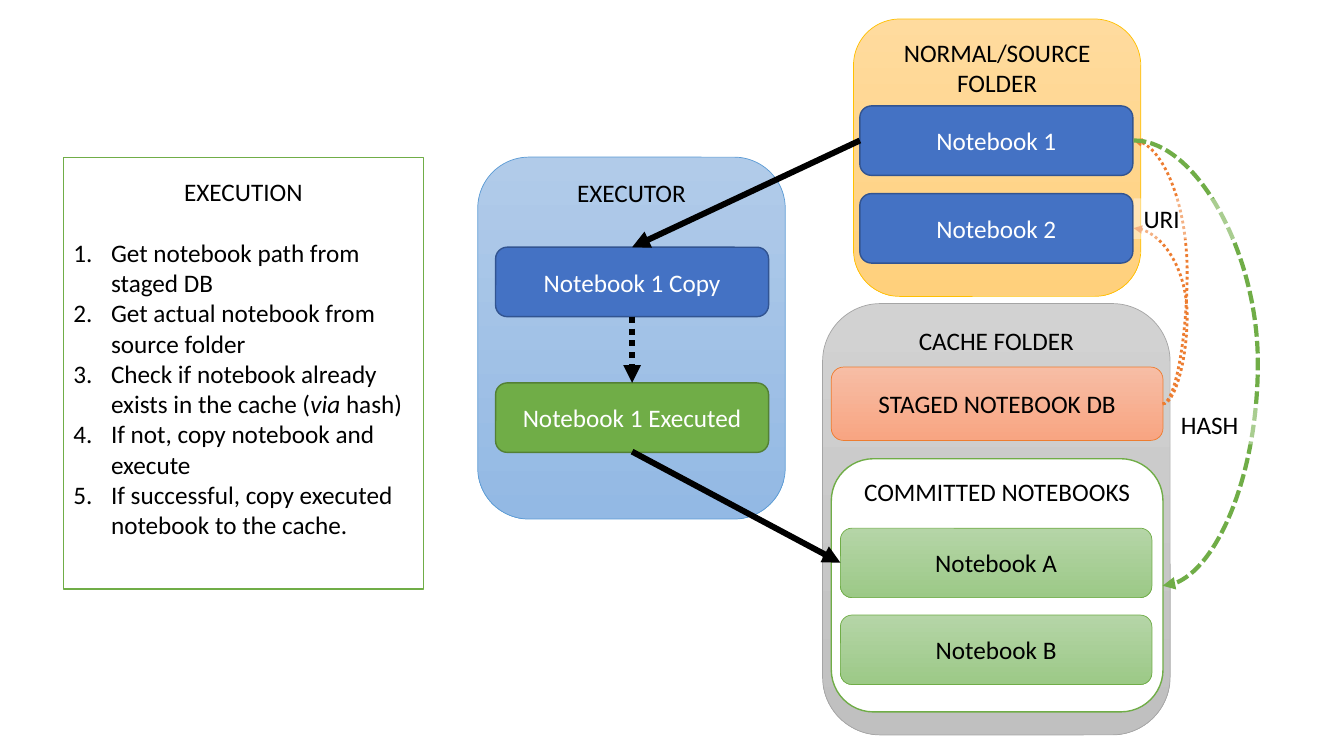
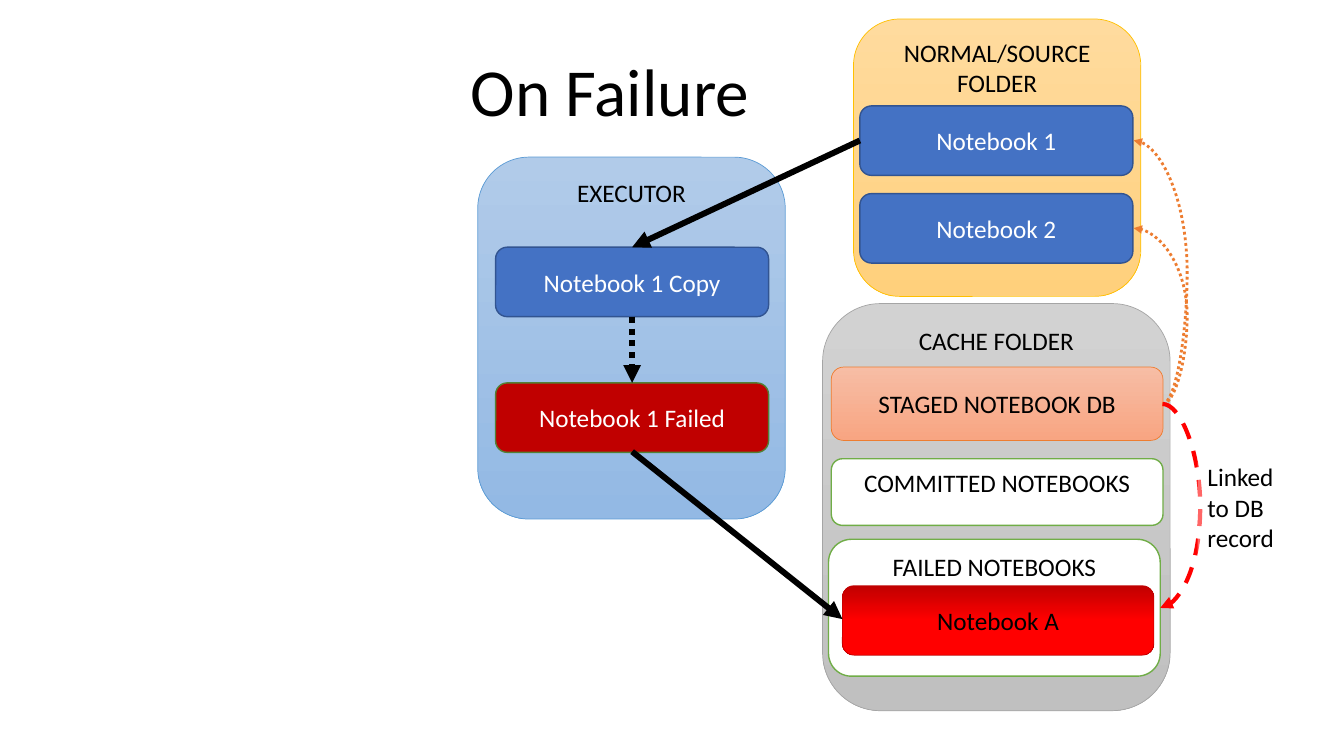
from lxml import etree
from pptx import Presentation, util as u
from pptx.dml.color import RGBColor
from pptx.enum import dml, shapes, text
from pptx.oxml.ns import qn

FONT = "Calibri"
BLACK, WHITE = "000000", "FFFFFF"
BLUE, GREEN, ORANGE, RED = "4472C4", "70AD47", "ED7D31", "FF0000"
TOP, MIDDLE = text.MSO_ANCHOR.TOP, text.MSO_ANCHOR.MIDDLE
LEFT, CENTER = text.PP_ALIGN.LEFT, text.PP_ALIGN.CENTER
DOTS, SHORT_DASHES, DASHES = (
    dml.MSO_LINE.ROUND_DOT, dml.MSO_LINE.SQUARE_DOT, dml.MSO_LINE.DASH)

STYLES = {
    "source": (("FFDB9E", "FFD07C"), "FFC000", 0.5, BLACK, TOP),
    "cache": (("D2D2D2", "C0C0C0"), "A5A5A5", 0.5, BLACK, TOP),
    "executor": (("B1CBE9", "93B9E4"), "5B9BD5", 0.5, BLACK, TOP),
    "group": ((WHITE,), GREEN, 1, BLACK, TOP),
    "notebook": ((BLUE,), "325491", 1, WHITE, MIDDLE),
    "executed": ((GREEN,), "538035", 1, WHITE, MIDDLE),
    "failed": (("C00000",), "538035", 1, WHITE, MIDDLE),
    "staged": (("F7BDA5", "F8A582"), ORANGE, 0.5, BLACK, MIDDLE),
    "committed": (("B5D5A7", "9CC987"), GREEN, 0.5, BLACK, MIDDLE),
    "failure": (("C00000", RED), "C00000", 0.5, BLACK, MIDDLE),
}


def color(value):
    return RGBColor.from_string(value)


def write(paragraph, content, size=18, ink=BLACK, italic=False, align=LEFT):
    paragraph.alignment = align
    run = paragraph.add_run()
    run.text = content
    run.font.name = FONT
    run.font.size = u.Pt(size)
    run.font.italic = italic
    run.font.color.rgb = color(ink)


NOTEBOOK_W, NOTEBOOK_H = 6.88, 1.75
CACHED_W, GROUP_X, GROUP_W = 7.85, 20.95, 8.36
SOURCE_X, SOURCE_RIGHT = 21.67, 28.57
EXECUTOR_X, EXECUTOR_MIDDLE = 12.49, 15.93
FIRST_Y, SECOND_Y = 3.54, 5.75
STAGED_RIGHT, STAGED_Y = 29.3, 10.18

shared_boxes = [
    ("NORMAL/SOURCE FOLDER", 21.51, 0.48, 7.24, 6.99, "source"),
    ("Notebook 1", SOURCE_X, 2.67, NOTEBOOK_W, NOTEBOOK_H, "notebook"),
    ("Notebook 2", SOURCE_X, 4.88, NOTEBOOK_W, NOTEBOOK_H, "notebook"),
    ("EXECUTOR", 12.04, 3.96, 7.75, 9.12, "executor"),
    ("Notebook 1 Copy", EXECUTOR_X, 6.23, NOTEBOOK_W, NOTEBOOK_H, "notebook"),
]
shared_arrows = [
    (STAGED_RIGHT, STAGED_Y, SOURCE_RIGHT, SECOND_Y, ORANGE, 2, DOTS, 29.92),
    (STAGED_RIGHT, STAGED_Y, SOURCE_RIGHT, FIRST_Y, ORANGE, 2, DOTS, 29.92),
    (SOURCE_X, FIRST_Y, EXECUTOR_MIDDLE, 6.23, BLACK, 4.25, None, None),
    (EXECUTOR_MIDDLE, 7.98, EXECUTOR_MIDDLE, 9.65, BLACK, 4.25, DOTS, None),
]

success = {
    "cache_height": 10.87,
    "result": ("Notebook 1 Executed", "executed"),
    "boxes": [
        ("COMMITTED NOTEBOOKS", GROUP_X, 11.56, GROUP_W, 6.38, "group"),
        ("Notebook A", 21.18, 13.31, CACHED_W, NOTEBOOK_H, "committed"),
        ("Notebook B", 21.18, 15.5, CACHED_W, NOTEBOOK_H, "committed"),
    ],
    "arrows": [
        (EXECUTOR_MIDDLE, 11.38, 21.18, 14.18, BLACK, 4.25, None, None),
        (SOURCE_RIGHT, FIRST_Y, STAGED_RIGHT, 14.76, GREEN, 3, SHORT_DASHES, 31.7),
    ],
    "labels": [
        (["HASH"], 29.51, 10.18, 2.79, 1.02),
        (["URI"], 28.57, 5, 3.73, 1.02),
    ],
}
failure = {
    "cache_height": 10.26,
    "result": ("Notebook 1 Failed", "failed"),
    "boxes": [
        ("COMMITTED NOTEBOOKS", GROUP_X, 11.56, GROUP_W, 1.68, "group"),
        ("FAILED NOTEBOOKS", 20.88, 13.59, GROUP_W, 3.45, "group"),
        ("Notebook A", 21.23, 14.76, CACHED_W, NOTEBOOK_H, "failure"),
    ],
    "arrows": [
        (EXECUTOR_MIDDLE, 11.38, 21.23, 15.6, BLACK, 4.25, None, None),
        (STAGED_RIGHT, STAGED_Y, 29.24, 15.32, RED, 3, DASHES, 30.25),
    ],
    "labels": [(["Linked", "to DB record"], 30.18, 11.51, 3, 2.57)],
}

presentation = Presentation()
presentation.slide_width = u.Cm(33.87)
presentation.slide_height = u.Cm(19.05)
execution_slide = presentation.slides.add_slide(presentation.slide_layouts[6])
failure_slide = presentation.slides.add_slide(presentation.slide_layouts[5])

for slide, content in ((execution_slide, success), (failure_slide, failure)):
    result, result_style = content["result"]
    boxes = shared_boxes + [
        (result, EXECUTOR_X, 9.65, NOTEBOOK_W, NOTEBOOK_H, result_style),
        ("CACHE FOLDER", 20.73, 7.65, 8.76, content["cache_height"], "cache"),
        ("STAGED NOTEBOOK DB", GROUP_X, 9.25, GROUP_W, 1.85, "staged"),
    ] + content["boxes"]
    for caption, x, y, width, height, style in boxes:
        fills, outline, weight, ink, anchor = STYLES[style]
        shape = slide.shapes.add_shape(
            shapes.MSO_SHAPE.ROUNDED_RECTANGLE,
            u.Cm(x), u.Cm(y), u.Cm(width), u.Cm(height))
        shape.shadow.inherit = False
        if len(fills) == 1:
            shape.fill.solid()
            shape.fill.fore_color.rgb = color(fills[0])
        else:
            shape.fill.gradient()
            shape.fill.gradient_angle = 270
            for stop, value in zip(shape.fill.gradient_stops, fills):
                stop.color.rgb = color(value)
            if style == "failure":
                shape.fill.gradient_stops[1].position = 0.5
        shape.line.color.rgb = color(outline)
        shape.line.width = u.Pt(weight)
        shape.text_frame.vertical_anchor = anchor
        write(shape.text_frame.paragraphs[0], caption, ink=ink, align=CENTER)

    for x1, y1, x2, y2, stroke, weight, dash, bend in shared_arrows + content["arrows"]:
        kind = shapes.MSO_CONNECTOR.CURVE if bend else shapes.MSO_CONNECTOR.STRAIGHT
        arrow = slide.shapes.add_connector(
            kind, u.Cm(x1), u.Cm(y1), u.Cm(x2), u.Cm(y2))
        arrow.line.color.rgb = color(stroke)
        arrow.line.width = u.Pt(weight)
        if dash:
            arrow.line.dash_style = dash
        properties = arrow._element.spPr
        etree.SubElement(properties.find(qn("a:ln")), qn("a:tailEnd"), type="triangle")
        etree.SubElement(properties, qn("a:effectLst"))
        if bend:
            ratio = round((bend - x1) / (x2 - x1) * 100000)
            guides = properties.find(qn("a:prstGeom")).get_or_add_avLst()
            etree.SubElement(guides, qn("a:gd"), name="adj1", fmla=f"val {ratio}")

    for lines, x, y, width, height in content["labels"]:
        label = slide.shapes.add_textbox(u.Cm(x), u.Cm(y), u.Cm(width), u.Cm(height))
        label.fill.solid()
        label.fill.fore_color.rgb = color(WHITE)
        tint = label._element.spPr.find(qn("a:solidFill"))[0]
        etree.SubElement(tint, qn("a:alpha"), val="40000")
        frame = label.text_frame
        frame.word_wrap = True
        for index, line in enumerate(lines):
            paragraph = frame.add_paragraph() if index else frame.paragraphs[0]
            write(paragraph, line)

panel = execution_slide.shapes.add_shape(
    shapes.MSO_SHAPE.RECTANGLE, u.Cm(1.6), u.Cm(3.97), u.Cm(9.07), u.Cm(10.87))
panel.shadow.inherit = False
panel.fill.solid()
panel.fill.fore_color.rgb = color(WHITE)
panel.line.color.rgb = color(GREEN)
panel.line.width = u.Pt(1)
frame = panel.text_frame
frame.vertical_anchor = MIDDLE
frame.margin_bottom = u.Cm(0.9)
heading = frame.paragraphs[0]
heading.space_after = u.Pt(22)
write(heading, "EXECUTION", align=CENTER)
steps = [
    ["Get notebook path from staged DB"],
    ["Get actual notebook from source folder"],
    ["Check if notebook already exists in the cache (", "via", " hash)"],
    ["If not, copy notebook and execute"],
    ["If successful, copy executed notebook to the cache."],
]
for step in steps:
    paragraph = frame.add_paragraph()
    for part in step:
        write(paragraph, part, italic=part == "via")
    properties = paragraph._p.get_or_add_pPr()
    properties.set("marL", str(u.Cm(0.95)))
    properties.set("indent", str(-u.Cm(0.95)))
    etree.SubElement(properties, qn("a:buFont"), typeface=FONT)
    etree.SubElement(properties, qn("a:buAutoNum"), type="arabicPeriod")

title = failure_slide.shapes.title
title.left, title.top = u.Cm(11.61), u.Cm(1.12)
title.width, title.height = u.Cm(8.61), u.Cm(2.11)
title.text_frame.auto_size = text.MSO_AUTO_SIZE.NONE
title.text_frame.vertical_anchor = TOP
write(title.text_frame.paragraphs[0], "On Failure", size=48)

presentation.save("out.pptx")
